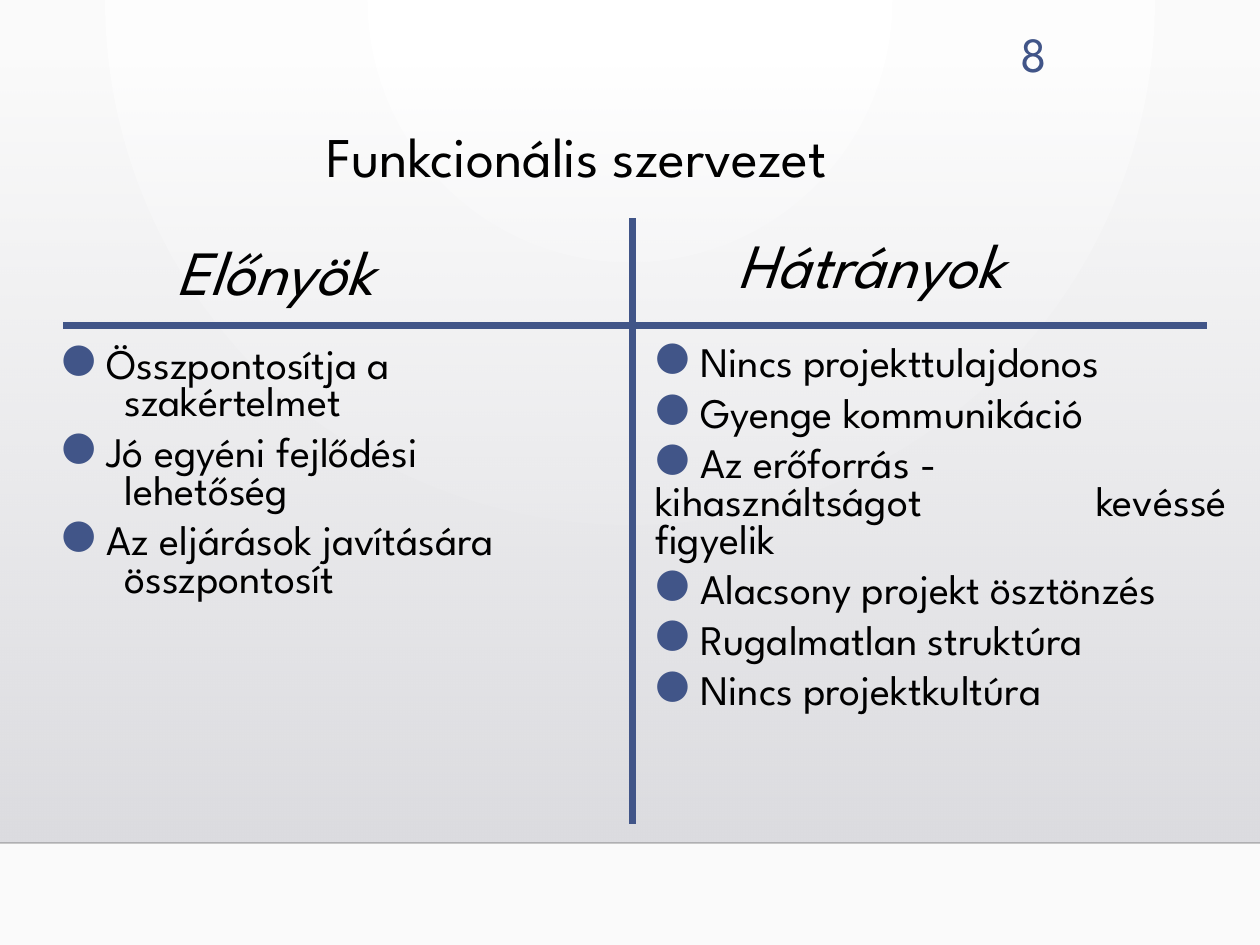
from dataclasses import dataclass

from lxml import etree
from pptx import Presentation
from pptx.dml.color import RGBColor
from pptx.enum.shapes import MSO_CONNECTOR, MSO_SHAPE
from pptx.enum.text import MSO_ANCHOR, PP_ALIGN
from pptx.oxml import parse_xml
from pptx.oxml.ns import qn
from pptx.util import Pt

LEFT, MID, RIGHT = PP_ALIGN.LEFT, PP_ALIGN.CENTER, PP_ALIGN.RIGHT
TOP = MSO_ANCHOR.TOP
RECT = MSO_SHAPE.RECTANGLE
LINE = MSO_CONNECTOR.STRAIGHT
NS = "http://schemas.openxmlformats.org/drawingml/2006/main"


@dataclass(frozen=True)
class Theme:
    font: str = "League Spartan"
    ink: str = "000000"
    blue: str = "415588"
    edge: str = "000001"
    glow: tuple = (("FFFFFF", 100), ("FAFAFA", 100))
    haze: tuple = (("DCDCE0", 0), ("DADADE", 100))
    title: int = 32
    head: int = 36
    body: int = 24
    page: int = 28


THEME = Theme()


@dataclass(frozen=True)
class Label:
    box: tuple
    text: str
    size: int
    align: int = LEFT
    color: str = THEME.ink
    slant: bool = False
    lead: float = 1.0


@dataclass(frozen=True)
class Points:
    box: tuple
    items: tuple


@dataclass(frozen=True)
class Rule:
    start: tuple
    end: tuple
    color: str = THEME.blue
    width: float = 4
    alpha: int = 100


# Slide content, lengths in points
LABELS = (
    Label((543, 10, 62.5, 39.5), "8", THEME.page, RIGHT, THEME.blue),
    Label((179.3, 70.5, 349, 83), "Funkcionális szervezet", THEME.title, lead=0.9),
    Label((324, 131.8, 346.3, 44), "Hátrányok", THEME.head, MID, slant=True, lead=0.85),
    Label((-23.8, 136, 361.5, 44), "Előnyök", THEME.head, MID, slant=True, lead=0.85),
)
LISTS = (
    Points((28, 195.8, 355.7, 154), (
        "Összpontosítja a \v\t\tszakértelmet",
        "Jó egyéni fejlődési \v\t\tlehetőség",
        "Az eljárások javítására \v\t\tösszpontosít",
    )),
    Points((367.2, 195.1, 349.2, 225.4), (
        "Nincs projekttulajdonos",
        "Gyenge kommunikáció",
        "Az erőforrás - \t \t\tkihasználtságot \t\t\tkevéssé figyelik",
        "Alacsony projekt ösztönzés",
        "Rugalmatlan struktúra",
        "Nincs projektkultúra",
    )),
)
FLOOR = Rule((0, 481.7), (720, 481.7), THEME.edge, 1, 20)
CROSS = (Rule((36, 185.8), (690, 185.8)), Rule((361.2, 124.6), (361.2, 470.9)))


def apply(part, vals: dict) -> None:
    for name, val in vals.items():
        setattr(part, name, val)


def grad(stops: tuple, shade: str):
    marks = "".join(
        f'<a:gs pos="{i * 100000}"><a:srgbClr val="{hue}">'
        f'<a:alpha val="{alpha * 1000}"/></a:srgbClr></a:gs>'
        for i, (hue, alpha) in enumerate(stops))
    return parse_xml(f'<a:gradFill xmlns:a="{NS}" rotWithShape="1">'
                     f'<a:gsLst>{marks}</a:gsLst>{shade}</a:gradFill>')


def swap(fill, new) -> None:
    fill.gradient()
    old = fill._fill._gradFill
    old.getparent().replace(old, new)


def draw_back(slide) -> None:
    swap(slide.background.fill, grad(
        THEME.glow, '<a:path path="circle"><a:fillToRect l="43000" t="0" '
                    'r="43000" b="100000"/></a:path>'))
    haze = slide.shapes.add_shape(RECT, *map(Pt, (0, 36.7, 720, 445)))
    haze.shadow.inherit = False
    haze.line.fill.background()
    swap(haze.fill, grad(THEME.haze, '<a:lin ang="5400000" scaled="0"/>'))


def draw_rule(slide, rule: Rule) -> None:
    line = slide.shapes.add_connector(LINE, *map(Pt, rule.start + rule.end))
    line.line.width = Pt(rule.width)
    line.line.color.rgb = RGBColor.from_string(rule.color)
    if rule.alpha < 100:
        hue = line._element.spPr.find(".//" + qn("a:srgbClr"))
        etree.SubElement(hue, qn("a:alpha"), val=str(rule.alpha * 1000))
    etree.SubElement(line._element.spPr, qn("a:effectLst"))


def add_frame(slide, box: tuple):
    frame = slide.shapes.add_textbox(*map(Pt, box)).text_frame
    apply(frame, {"word_wrap": True, "vertical_anchor": TOP})
    return frame


def style(para, size: int, color: str, slant: bool = False) -> None:
    look = {"name": THEME.font, "size": Pt(size), "bold": False, "italic": slant}
    for run in para.runs:
        apply(run.font, look)
        run.font.color.rgb = RGBColor.from_string(color)


def draw_label(slide, label: Label) -> None:
    para = add_frame(slide, label.box).paragraphs[0]
    apply(para, {"text": label.text, "alignment": label.align,
                 "line_spacing": label.lead})
    style(para, label.size, label.color, label.slant)


def add_bullet(para) -> None:
    props = para._p.get_or_add_pPr()
    apply_xml = (
        f'<a:buClr xmlns:a="{NS}"><a:srgbClr val="{THEME.blue}"/></a:buClr>',
        f'<a:buSzPct xmlns:a="{NS}" val="95000"/>',
        f'<a:buFont xmlns:a="{NS}" typeface="{THEME.font}"/>',
        f'<a:buChar xmlns:a="{NS}" char="●"/>',
        f'<a:tabLst xmlns:a="{NS}"><a:tab pos="{Pt(18)}" algn="l"/></a:tabLst>',
    )
    for xml in apply_xml:
        props.append(parse_xml(xml))


def draw_list(slide, points: Points) -> None:
    frame = add_frame(slide, points.box)
    for i, item in enumerate(points.items):
        para = frame.add_paragraph() if i else frame.paragraphs[0]
        apply(para, {"text": " " + item, "alignment": LEFT, "line_spacing": 0.75,
                     "space_before": Pt(4.8 if i else 0), "space_after": Pt(2.4)})
        add_bullet(para)
        style(para, THEME.body, THEME.ink)


def main() -> None:
    deck = Presentation()
    apply(deck, {"slide_width": Pt(720), "slide_height": Pt(540)})
    slide = deck.slides.add_slide(deck.slide_layouts[6])
    # Backdrop
    draw_back(slide)
    draw_rule(slide, FLOOR)
    # Dividers
    for rule in CROSS:
        draw_rule(slide, rule)
    # Text
    for label in LABELS:
        draw_label(slide, label)
    for points in LISTS:
        draw_list(slide, points)
    deck.save("out.pptx")


if __name__ == "__main__":
    main()
